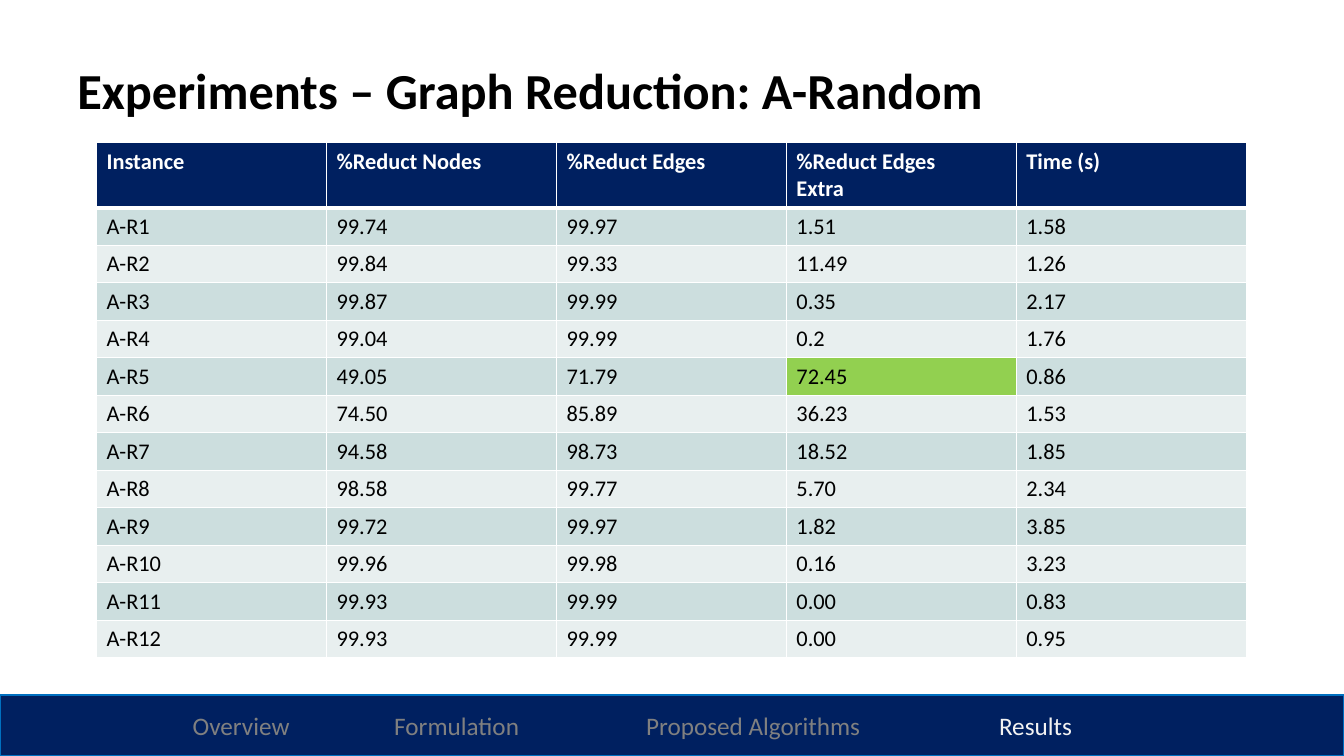
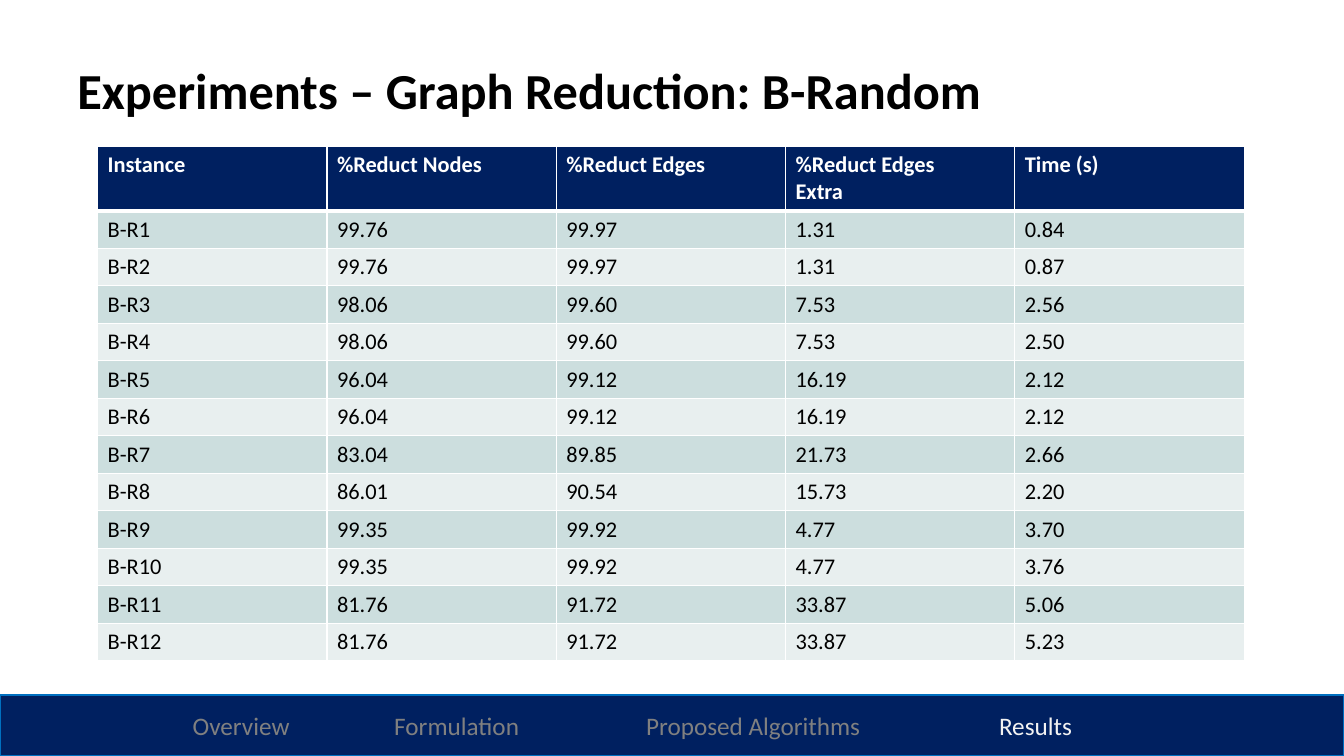
from dataclasses import dataclass

from lxml import etree
from pptx import Presentation
from pptx import util as u
from pptx.dml.color import RGBColor
from pptx.enum import shapes, text
from pptx.oxml.ns import qn

PX = 9525


@dataclass(frozen=True)
class Theme:
    font: str = "Calibri"
    navy: str = "002060"
    blue: str = "0070C0"
    white: str = "FFFFFF"
    black: str = "000000"
    gray: str = "808080"
    pale: str = "F2F2F2"
    green: str = "92D050"
    bands: tuple[str, str] = ("CCDEDE", "E8EFEF")
    title: int = 36
    cell: int = 16
    nav: int = 18


@dataclass(frozen=True)
class Tab:
    label: str
    left: int


@dataclass(frozen=True)
class Page:
    group: str
    left: int
    top: int
    width: int
    rows: str
    mark: tuple[int, int] | None = None


T = Theme()
WIDE, HIGH = 1280, 720
BAR = 58
TABLE, HEAD = 487, 61
HEADS = ("Instance", "%Reduct Nodes", "%Reduct Edges",
         "%Reduct Edges\nExtra", "Time (s)")
TABS = (Tab("Overview", 174), Tab("Formulation", 366),
        Tab("Proposed Algorithms", 606), Tab("Results", 942))
ACTIVE = "Results"
PAGES = (
    Page("A", 92, 136, 1095, """
99.74 99.97 1.51 1.58
99.84 99.33 11.49 1.26
99.87 99.99 0.35 2.17
99.04 99.99 0.2 1.76
49.05 71.79 72.45 0.86
74.50 85.89 36.23 1.53
94.58 98.73 18.52 1.85
98.58 99.77 5.70 2.34
99.72 99.97 1.82 3.85
99.96 99.98 0.16 3.23
99.93 99.99 0.00 0.83
99.93 99.99 0.00 0.95
""", mark=(5, 3)),
    Page("B", 93, 139, 1092, """
99.76 99.97 1.31 0.84
99.76 99.97 1.31 0.87
98.06 99.60 7.53 2.56
98.06 99.60 7.53 2.50
96.04 99.12 16.19 2.12
96.04 99.12 16.19 2.12
83.04 89.85 21.73 2.66
86.01 90.54 15.73 2.20
99.35 99.92 4.77 3.70
99.35 99.92 4.77 3.76
81.76 91.72 33.87 5.06
81.76 91.72 33.87 5.23
"""),
)


def px(*vals: int) -> list[u.Emu]:
    return [u.Emu(val * PX) for val in vals]


def rgb(code: str) -> RGBColor:
    return RGBColor.from_string(code)


def write(frame, words: str, *, size: int, color: str = T.black,
          bold: bool = False) -> None:
    for num, line in enumerate(words.split("\n")):
        para = frame.add_paragraph() if num else frame.paragraphs[-1]
        run = para.add_run()
        run.text = line
        run.font.name = T.font
        run.font.size = u.Pt(size)
        run.font.bold = bold
        run.font.color.rgb = rgb(color)


def paint(cell, color: str, alpha: int = 100) -> None:
    cell.fill.solid()
    cell.fill.fore_color.rgb = rgb(color)
    if alpha < 100:
        node = cell._tc.tcPr.find(f".//{qn('a:solidFill')}/{qn('a:srgbClr')}")
        etree.SubElement(node, qn("a:alpha"), val=str(alpha * 1000))


def edge(cell, row: int) -> None:
    prop = cell._tc.get_or_add_tcPr()
    wide = {"L": 1, "R": 1, "T": 3 if row == 1 else 1, "B": 1 if row else 3}
    for side, size in wide.items():
        line = etree.SubElement(prop, qn(f"a:ln{side}"), w=str(u.Pt(size)))
        fill = etree.SubElement(line, qn("a:solidFill"))
        etree.SubElement(fill, qn("a:srgbClr"), val=T.white)


def add_title(slide, words: str) -> None:
    title = slide.shapes.title
    title.left, title.top, title.width, title.height = px(64, 58, 1118, 119)
    frame = title.text_frame
    frame.vertical_anchor = text.MSO_ANCHOR.TOP
    frame.auto_size = text.MSO_AUTO_SIZE.NONE
    para = frame.paragraphs[0]
    para.alignment = text.PP_ALIGN.LEFT
    para.line_spacing = 0.9
    write(frame, words, size=T.title, bold=True)


def add_grid(slide, page: Page) -> None:
    body = [(f"{page.group}-R{num}", *line.split())
            for num, line in enumerate(page.rows.strip().splitlines(), 1)]
    rows = [HEADS, *body]
    grid = slide.shapes.add_table(
        len(rows), len(HEADS),
        *px(page.left, page.top, page.width, TABLE)).table
    for col in grid.columns:
        col.width = u.Emu(page.width * PX // len(HEADS))
    for num, row in enumerate(grid.rows):
        high = (TABLE - HEAD) * PX // len(body) if num else HEAD * PX
        row.height = u.Emu(high)
        for pos, cell in enumerate(row.cells):
            edge(cell, num)
            if (num, pos) == page.mark:
                paint(cell, T.green, 50)
            else:
                paint(cell, T.bands[(num - 1) % 2] if num else T.navy)
            write(cell.text_frame, rows[num][pos], size=T.cell,
                  color=T.black if num else T.white, bold=num == 0)


def add_nav(slide) -> None:
    bar = slide.shapes.add_shape(
        shapes.MSO_SHAPE.RECTANGLE, *px(0, HIGH - BAR, WIDE, BAR))
    bar.shadow.inherit = False
    bar.fill.solid()
    bar.fill.fore_color.rgb = rgb(T.navy)
    bar.line.color.rgb = rgb(T.blue)
    bar.line.width = u.Pt(1)
    frame = bar.text_frame
    frame.word_wrap = True
    frame.vertical_anchor = text.MSO_ANCHOR.MIDDLE
    para = frame.paragraphs[0]
    para.alignment = text.PP_ALIGN.LEFT
    stops = etree.SubElement(para._p.get_or_add_pPr(), qn("a:tabLst"))
    for tab in TABS:
        etree.SubElement(stops, qn("a:tab"), pos=str(tab.left * PX), algn="l")
        write(frame, f"\t{tab.label}", size=T.nav,
              color=T.pale if tab.label == ACTIVE else T.gray)


def main() -> None:
    deck = Presentation()
    deck.slide_width, deck.slide_height = px(WIDE, HIGH)
    for page in PAGES:
        slide = deck.slides.add_slide(deck.slide_layouts[5])
        add_title(slide, f"Experiments – Graph Reduction: {page.group}-Random")
        add_grid(slide, page)
        add_nav(slide)
    deck.save("out.pptx")


if __name__ == "__main__":
    main()
